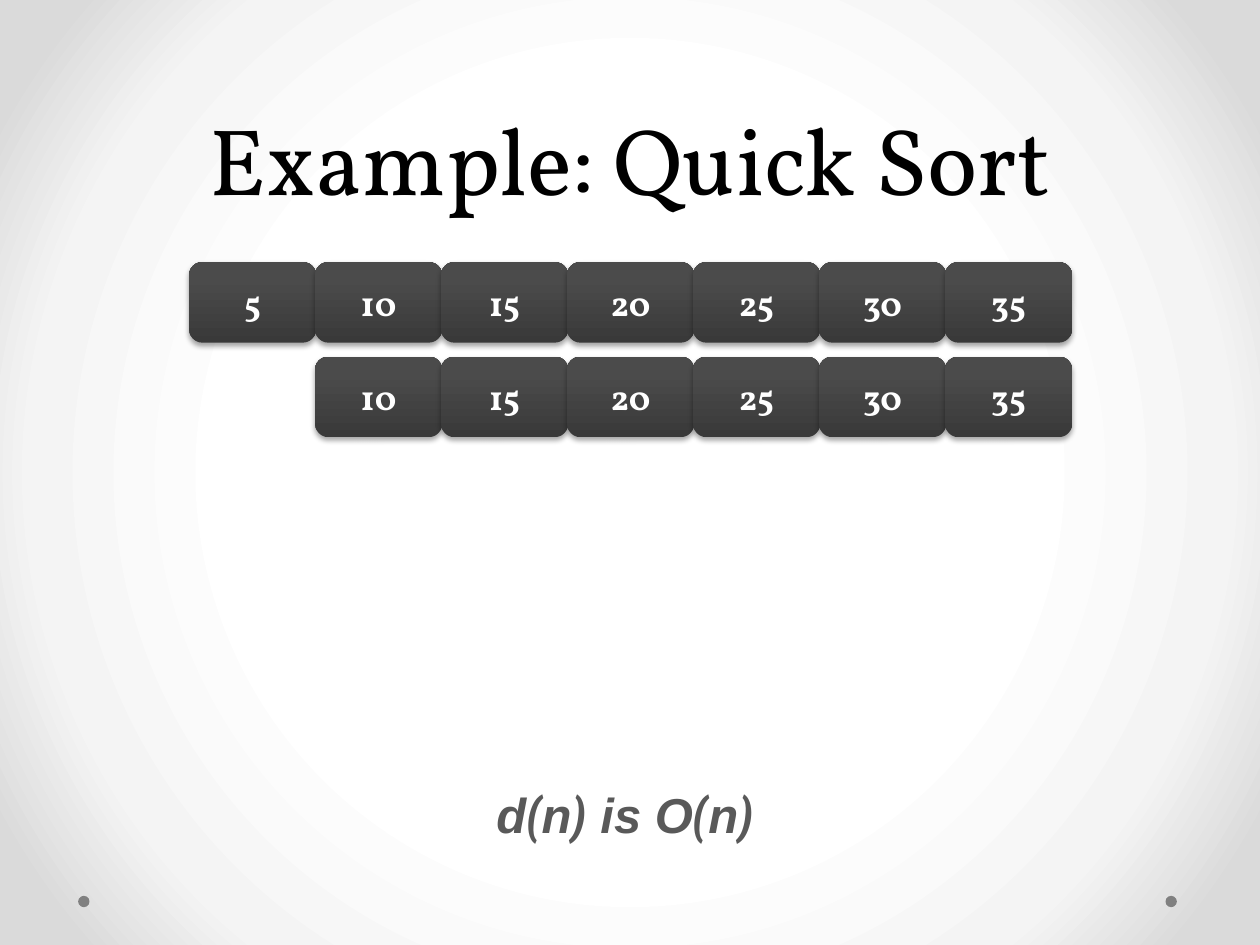
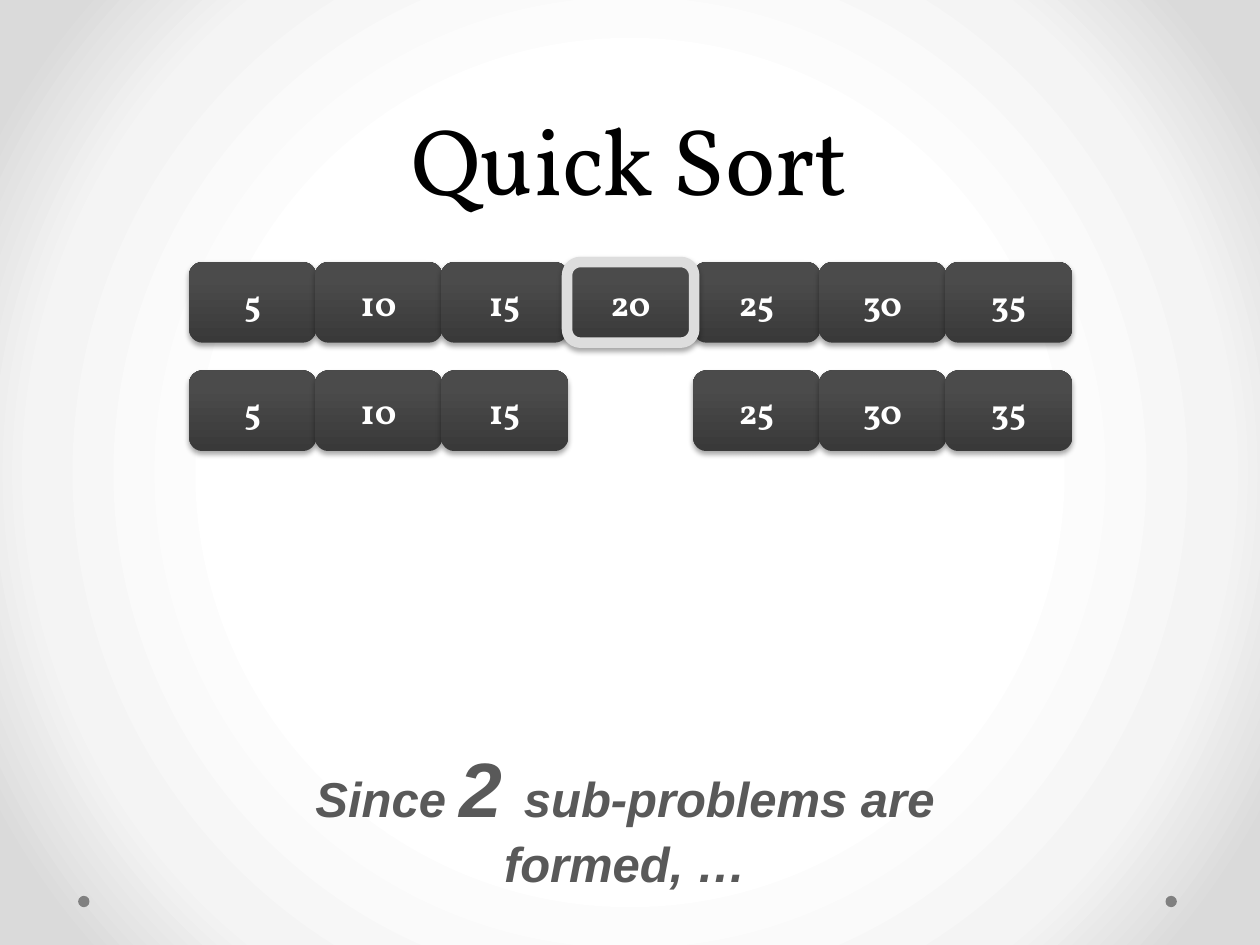
"""Build two slides that show how quick sort splits an array."""
import lxml.etree
import pptx
import pptx.dml.color
import pptx.enum.shapes
import pptx.enum.text
import pptx.oxml
import pptx.oxml.ns
import pptx.util

Inches = pptx.util.Inches
Pt = pptx.util.Pt
qn = pptx.oxml.ns.qn
SHAPES = pptx.enum.shapes.MSO_SHAPE
ANCHOR = pptx.enum.text.MSO_ANCHOR
CENTER = pptx.enum.text.PP_ALIGN.CENTER

COLORS = {
    "title": "000000", "tile_text": "FFFFFF", "caption": "595959",
    "dot": "808080", "pivot": "DDDDDD", "shadow": "000000",
    "tile_dark": "393939", "tile_light": "4B4B4B",
    "page": "FFFFFF", "page_mid": "F4F4F4", "page_edge": "DADADA",
}
SERIF, SANS, NARROW = "Vollkorn", "Arial", "Roboto Condensed"
NAMESPACE = pptx.oxml.ns.nsdecls("a")

PAGE_STOPS = [(50, "page"), (76, "page_mid"), (92, "page_edge")]
PAGE_SPREAD = '<a:path path="circle"><a:fillToRect l="50000" t="50000" r="50000" b="50000"/></a:path>'
TILE_STOPS = [(0, "tile_dark"), (80, "tile_light"), (100, "tile_light")]
TILE_SPREAD = '<a:lin ang="16200000" scaled="0"/>'
TILE_SHADOW = (
    f'<a:outerShdw {NAMESPACE} blurRad="{Pt(3.1)}" dist="{Pt(1.8)}" dir="5400000" rotWithShape="0">'
    f'<a:srgbClr val="{COLORS["shadow"]}"><a:alpha val="35000"/></a:srgbClr></a:outerShdw>'
)

ARRAY = [5, 10, 15, 20, 25, 30, 35]
ARRAY_LEFT, ARRAY_TOP, TILE_PITCH = 1.5, 2.08, 1.0

SLIDES = [
    {
        "title": "Example: Quick Sort",
        "pivot": None,
        "rest": ARRAY[1:],
        "rest_top": 2.83,
        "caption_top": 6.18,
        "caption_height": 0.57,
        "caption": [
            ("d", SANS, 28), ("(", NARROW, 28), ("n", SANS, 28), (")", NARROW, 28),
            (" is O", SANS, 28), ("(", NARROW, 28), ("n", SANS, 28), (")", NARROW, 28),
        ],
    },
    {
        "title": "Quick Sort",
        "pivot": 20,
        "rest": [value for value in ARRAY if value != 20],
        "rest_top": 2.94,
        "caption_top": 5.83,
        "caption_height": 1.31,
        "caption": [("Since ", SANS, 28), ("2 ", SANS, 44), ("sub-problems are formed, …", SANS, 28)],
    },
]


def set_gradient(properties, stops, spread):
    stop_xml = "".join(
        f'<a:gs pos="{position * 1000}"><a:srgbClr val="{COLORS[color]}"/></a:gs>'
        for position, color in stops
    )
    gradient = lxml.etree.fromstring(
        f'<a:gradFill {NAMESPACE} rotWithShape="1"><a:gsLst>{stop_xml}</a:gsLst>{spread}</a:gradFill>'
    )
    properties.replace(properties.find(qn("a:solidFill")), gradient)


def add_run(paragraph, text, font_name, size, color, bold=False, italic=False):
    run = paragraph.add_run()
    run.text = text
    run.font.name = font_name
    run.font.size = Pt(size)
    run.font.bold = bold
    run.font.italic = italic
    run.font.color.rgb = pptx.dml.color.RGBColor.from_string(COLORS[color])


deck = pptx.Presentation()
deck.slide_width, deck.slide_height = Inches(10), Inches(7.5)
master = deck.slide_master
master.background.fill.solid()
master.background.fill.fore_color.rgb = pptx.dml.color.RGBColor.from_string(COLORS["page"])
set_gradient(next(master.element.iter(qn("p:bgPr"))), PAGE_STOPS, PAGE_SPREAD)

for content in SLIDES:
    slide = deck.slides.add_slide(deck.slide_layouts[5])

    for dot_left in (9.25, 0.62):
        dot = slide.shapes.add_shape(
            SHAPES.OVAL, Inches(dot_left), Inches(7.11), Inches(0.09), Inches(0.09))
        dot.shadow.inherit = False
        dot.fill.solid()
        dot.fill.fore_color.rgb = pptx.dml.color.RGBColor.from_string(COLORS["dot"])
        dot.line.fill.background()

    title = slide.shapes.title
    title.left, title.top, title.width, title.height = Inches(0.5), 0, Inches(9), Inches(1.75)
    title.text_frame.vertical_anchor = ANCHOR.BOTTOM
    title.text_frame.auto_size = pptx.enum.text.MSO_AUTO_SIZE.NONE
    heading = title.text_frame.paragraphs[0]
    heading.alignment = CENTER
    heading.line_spacing = Pt(58)
    add_run(heading, content["title"], SERIF, 54, "title")

    array_tiles = [(value, ARRAY_TOP) for value in ARRAY]
    array_tiles.sort(key=lambda tile: tile[0] == content["pivot"])
    rest_tiles = [(value, content["rest_top"]) for value in content["rest"]]
    for value, top in array_tiles + rest_tiles:
        left = ARRAY_LEFT + TILE_PITCH * ARRAY.index(value)
        tile = slide.shapes.add_shape(
            SHAPES.ROUNDED_RECTANGLE, Inches(left), Inches(top), Inches(1.01), Inches(0.64))
        tile.fill.solid()
        properties = tile.element.spPr
        set_gradient(properties, TILE_STOPS, TILE_SPREAD)
        if value == content["pivot"]:
            tile.line.color.rgb = pptx.dml.color.RGBColor.from_string(COLORS["pivot"])
            tile.line.width = Pt(6)
        else:
            tile.line.fill.background()
        tile.shadow.inherit = False
        properties.find(qn("a:effectLst")).append(lxml.etree.fromstring(TILE_SHADOW))
        tile.text_frame.vertical_anchor = ANCHOR.MIDDLE
        number = tile.text_frame.paragraphs[0]
        number.alignment = CENTER
        add_run(number, str(value), SERIF, 20, "tile_text", bold=True)

    caption = slide.shapes.add_textbox(
        Inches(2.17), Inches(content["caption_top"]), Inches(5.58), Inches(content["caption_height"]))
    caption.text_frame.word_wrap = True
    caption.text_frame.auto_size = pptx.enum.text.MSO_AUTO_SIZE.SHAPE_TO_FIT_TEXT
    remark = caption.text_frame.paragraphs[0]
    remark.alignment = CENTER
    for text, font_name, size in content["caption"]:
        add_run(remark, text, font_name, size, "caption", bold=True, italic=True)

deck.save("out.pptx")
